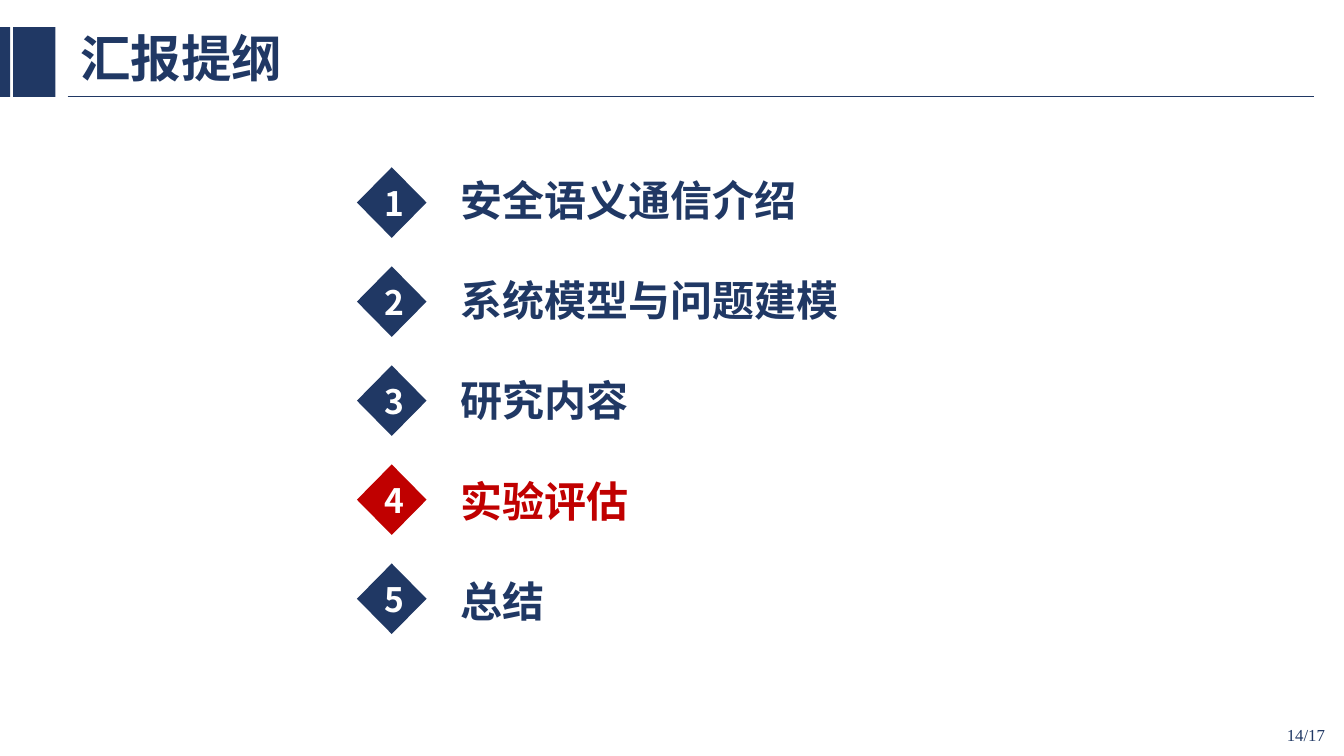
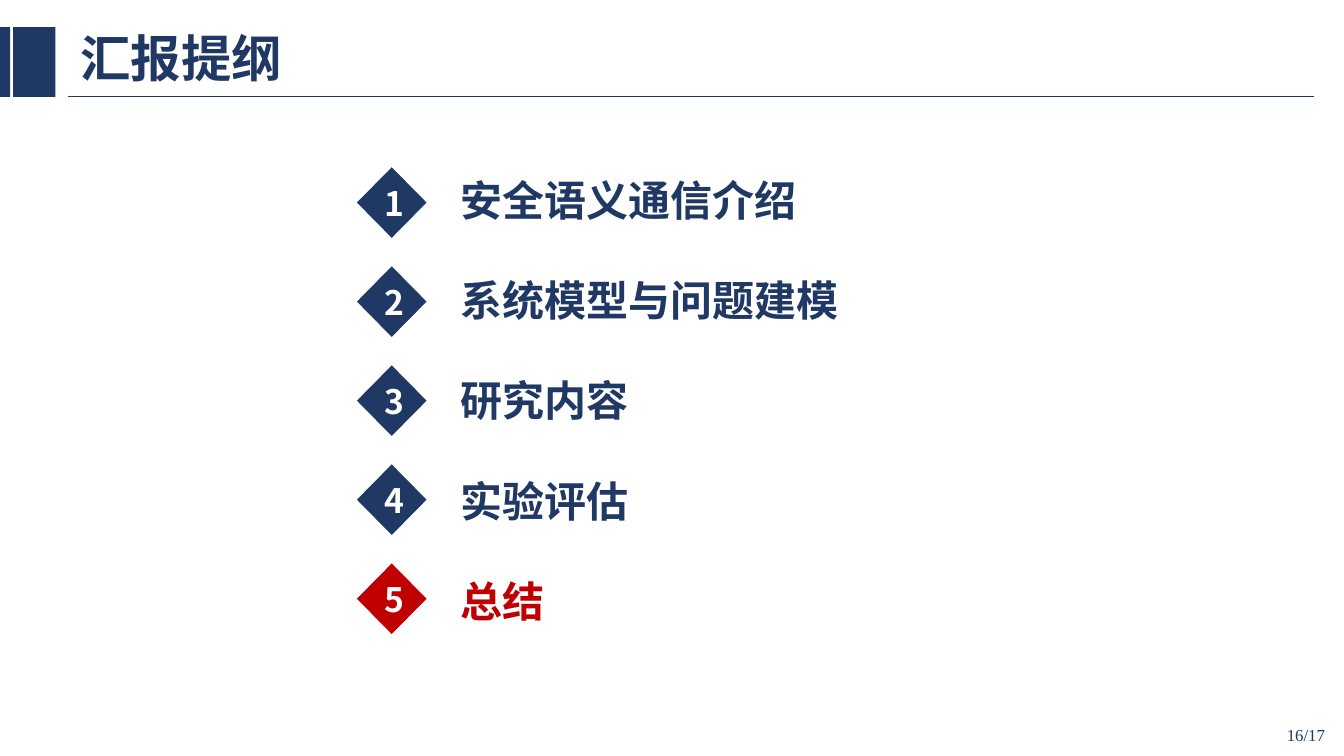
from pptx import Presentation
from pptx.dml.color import RGBColor
from pptx.enum.shapes import MSO_CONNECTOR, MSO_SHAPE
from pptx.enum.text import MSO_ANCHOR, PP_ALIGN
from pptx.oxml.ns import qn
from pptx.util import Inches, Pt
from lxml.etree import SubElement

# Content
TITLE = "汇报提纲"
SECTIONS = ["安全语义通信介绍", "系统模型与问题建模", "研究内容", "实验评估", "总结"]
SLIDES = [{"page": 14, "current": 4}, {"page": 16, "current": 5}]
PAGE_COUNT = 17

# Theme: colours and type styles
NAVY, RED, WHITE = (RGBColor.from_string(c) for c in ("203864", "C00000", "FFFFFF"))
CJK, SERIF = "Noto Sans CJK SC", "Times New Roman"
THEME = {
    "title": {"name": CJK, "size": Pt(36), "bold": True},
    "number": {"name": CJK, "size": Pt(24), "bold": True},
    "label": {"name": CJK, "size": Pt(30), "bold": True},
    "page": {"name": SERIF, "size": Pt(12), "bold": False},
}

# Layout in inches
WIDTH, HEIGHT = 13.33, 7.5
BAND_TOP, BAND_HEIGHT = 0.27, 0.69
BANDS = [(0, 0.1), (0.13, 0.42)]
RULE_LEFT, RULE_RIGHT = 0.67, 13.03
TITLE_BOX = (0.7, 0.21, 2.69, 0.8)
PAGE_BOX = (10.24, 7.09, 3, 0.4)
DIAMOND_LEFT, DIAMOND_WIDTH, DIAMOND_HEIGHT = 3.54, 0.69, 0.7
LABEL_LEFT, LABEL_WIDTH, LABEL_HEIGHT = 4.47, 6.35, 0.61
GAPS = len(SECTIONS) - 1
DIAMOND_TOP, DIAMOND_PITCH = 1.66, (5.59 - 1.66) / GAPS
LABEL_TOP, LABEL_PITCH = 1.68, (5.66 - 1.68) / GAPS


def write(sp, text, style, color, align=PP_ALIGN.LEFT, anchor=MSO_ANCHOR.MIDDLE, spacing=1.0):
    tf = sp.text_frame
    tf.word_wrap = True
    tf.vertical_anchor = anchor
    p = tf.paragraphs[0]
    p.alignment, p.line_spacing = align, spacing
    r = p.add_run()
    r.text = text
    for key, value in THEME[style].items():
        setattr(r.font, key, value)
    r.font.color.rgb = color
    SubElement(r.font._element, qn("a:ea")).set("typeface", THEME[style]["name"])


def add_text(s, box, *args, **options):
    write(s.shapes.add_textbox(*map(Inches, box)), *args, **options)


def add_solid(s, kind, box, color):
    sp = s.shapes.add_shape(kind, *map(Inches, box))
    sp.shadow.inherit = False
    sp.fill.solid()
    sp.fill.fore_color.rgb = color
    sp.line.fill.background()
    return sp


def add_frame(s, page):
    # Rule and bands
    y = Inches(BAND_TOP + BAND_HEIGHT)
    rule = s.shapes.add_connector(MSO_CONNECTOR.STRAIGHT, Inches(RULE_LEFT), y, Inches(RULE_RIGHT), y)
    rule.line.color.rgb, rule.line.width = NAVY, Pt(1)
    SubElement(rule._element.spPr, qn("a:effectLst"))
    for left, width in BANDS:
        add_solid(s, MSO_SHAPE.RECTANGLE, (left, BAND_TOP, width, BAND_HEIGHT), NAVY)
    # Title and page number
    add_text(s, TITLE_BOX, TITLE, "title", NAVY, spacing=0.9)
    add_text(s, PAGE_BOX, f"{page}/{PAGE_COUNT}", "page", NAVY, align=PP_ALIGN.RIGHT)


def add_agenda(s, current):
    for i, section in enumerate(SECTIONS):
        color = RED if i + 1 == current else NAVY
        box = (DIAMOND_LEFT, DIAMOND_TOP + i * DIAMOND_PITCH, DIAMOND_WIDTH, DIAMOND_HEIGHT)
        diamond = add_solid(s, MSO_SHAPE.DIAMOND, box, color)
        write(diamond, str(i + 1), "number", WHITE, align=PP_ALIGN.CENTER)
        box = (LABEL_LEFT, LABEL_TOP + i * LABEL_PITCH, LABEL_WIDTH, LABEL_HEIGHT)
        add_text(s, box, section, "label", color, anchor=MSO_ANCHOR.TOP)


def main():
    prs = Presentation()
    prs.slide_width, prs.slide_height = Inches(WIDTH), Inches(HEIGHT)
    for item in SLIDES:
        s = prs.slides.add_slide(prs.slide_layouts[6])
        add_frame(s, item["page"])
        add_agenda(s, item["current"])
    prs.save("out.pptx")


if __name__ == "__main__":
    main()
